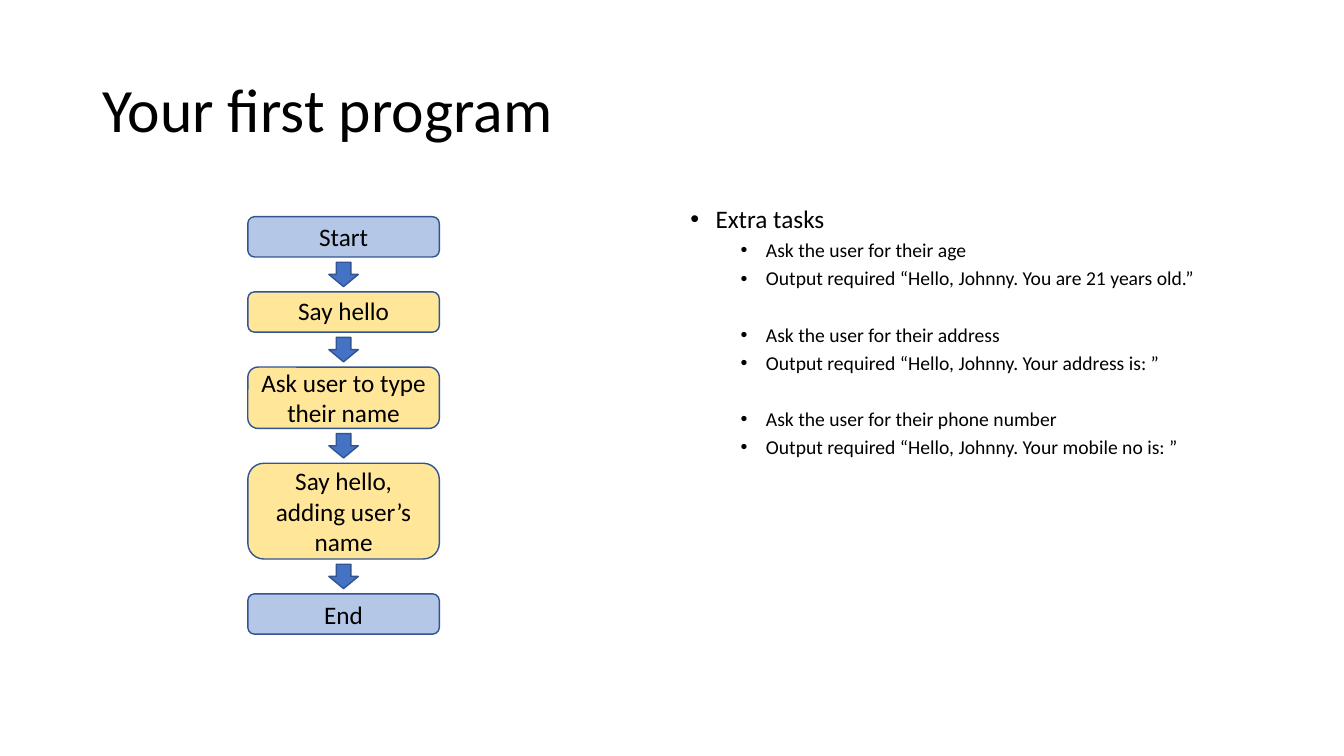
from dataclasses import dataclass

from lxml import etree
from pptx import Presentation
from pptx.dml.color import RGBColor
from pptx.enum.shapes import MSO_SHAPE
from pptx.enum.text import MSO_ANCHOR, PP_ALIGN
from pptx.oxml.ns import qn
from pptx.util import Inches, Pt

ROUND = MSO_SHAPE.ROUNDED_RECTANGLE
DOWN = MSO_SHAPE.DOWN_ARROW
MIDDLE = MSO_ANCHOR.MIDDLE
CENTER = PP_ALIGN.CENTER
COLS, ROWS = 160, 90


@dataclass(frozen=True)
class Theme:
    font: str = "Calibri"
    ink: str = "000000"
    blue: str = "B4C7E7"
    gold: str = "FFE699"
    arrow: str = "4472C4"
    edge: str = "325491"
    title: int = 44
    body: int = 18
    small: int = 14


@dataclass(frozen=True)
class Area:
    col: float
    row: float
    cols: float
    rows: float


@dataclass(frozen=True)
class Step:
    text: str
    fill: str
    rows: float
    lead: float = 1.0


@dataclass(frozen=True)
class Item:
    text: str
    size: int
    before: int
    margin: float


theme = Theme()
deck = Presentation()
deck.slide_width, deck.slide_height = Inches(13.33), Inches(7.5)
slide = deck.slides.add_slide(deck.slide_layouts[6])


def place(area: Area) -> tuple[int, int, int, int]:
    wide, high = deck.slide_width / COLS, deck.slide_height / ROWS
    return (round(area.col * wide), round(area.row * high),
            round(area.cols * wide), round(area.rows * high))


def style(para, size: int, lead: float) -> None:
    para.line_spacing = lead
    for run in para.runs:
        run.font.name = theme.font
        run.font.size = Pt(size)
        run.font.color.rgb = RGBColor.from_string(theme.ink)


def add_text(area: Area):
    frame = slide.shapes.add_textbox(*place(area)).text_frame
    frame.word_wrap = True
    return frame


def add_bullet(para, margin: float) -> None:
    props = para._p.get_or_add_pPr()
    props.set("marL", str(Inches(margin)))
    props.set("indent", str(Inches(-0.25)))
    etree.SubElement(props, qn("a:buFont")).set("typeface", "Arial")
    etree.SubElement(props, qn("a:buChar")).set("char", "•")


def add_form(kind, area: Area, fill: str):
    form = slide.shapes.add_shape(kind, *place(area))
    form.shadow.inherit = False
    form.fill.solid()
    form.fill.fore_color.rgb = RGBColor.from_string(fill)
    form.line.color.rgb = RGBColor.from_string(theme.edge)
    form.line.width = Pt(1)
    return form


def add_step(step: Step, row: float) -> None:
    frame = add_form(ROUND, Area(LEFT, row, WIDE, step.rows), step.fill).text_frame
    frame.text = step.text
    frame.word_wrap = True
    frame.vertical_anchor = MIDDLE
    frame.paragraphs[0].alignment = CENTER
    style(frame.paragraphs[0], theme.body, step.lead)


LEFT, WIDE, TOP, GAP = 29.5, 22.8, 25.8, 4.15
TIP_WIDE, TIP_HIGH = 3.5, 2.9

title = add_text(Area(11, 4.7, 138, 17.4))
title.text = "Your first program"
title.vertical_anchor = MIDDLE
style(title.paragraphs[0], theme.title, 0.9)

groups = [
    ("Ask the user for their age",
     "Output required “Hello, Johnny. You are 21 years old.”"),
    ("Ask the user for their address",
     "Output required “Hello, Johnny. Your address is: ”"),
    ("Ask the user for their phone number",
     "Output required “Hello, Johnny. Your mobile no is: ”"),
]
items = [Item("Extra tasks", theme.body, 10, 0.25)]
for at, (task, result) in enumerate(groups):
    items.append(Item(task, theme.small, 25 if at else 5, 0.75))
    items.append(Item(result, theme.small, 5, 0.75))

tasks = add_text(Area(81, 24, 68, 57.1))
tasks.text = "\n".join(item.text for item in items)
for para, item in zip(tasks.paragraphs, items):
    para.space_before = Pt(item.before)
    style(para, item.size, 0.9)
    add_bullet(para, item.margin)

steps = [
    Step("Start", theme.blue, 4.8),
    Step("Say hello", theme.gold, 4.8, 0.9),
    Step("Ask user to type their name", theme.gold, 7.3),
    Step("Say hello, adding user’s name", theme.gold, 11.4),
    Step("End", theme.blue, 4.8),
]
row = TOP
for step in steps:
    if row > TOP:
        tip = Area(LEFT + (WIDE - TIP_WIDE) / 2, row - (GAP + TIP_HIGH) / 2,
                   TIP_WIDE, TIP_HIGH)
        add_form(DOWN, tip, theme.arrow)
    add_step(step, row)
    row += step.rows + GAP

deck.save("out.pptx")
